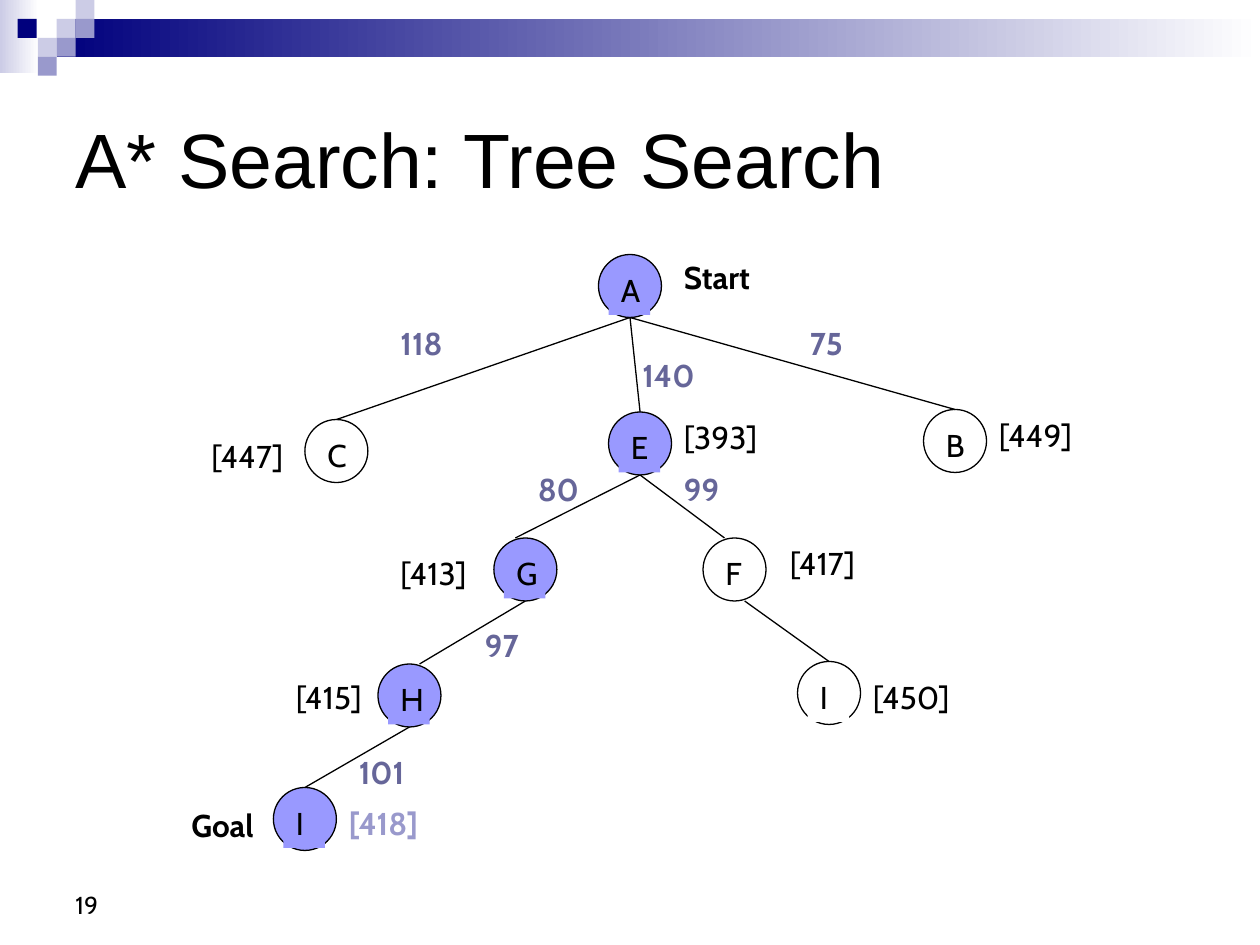
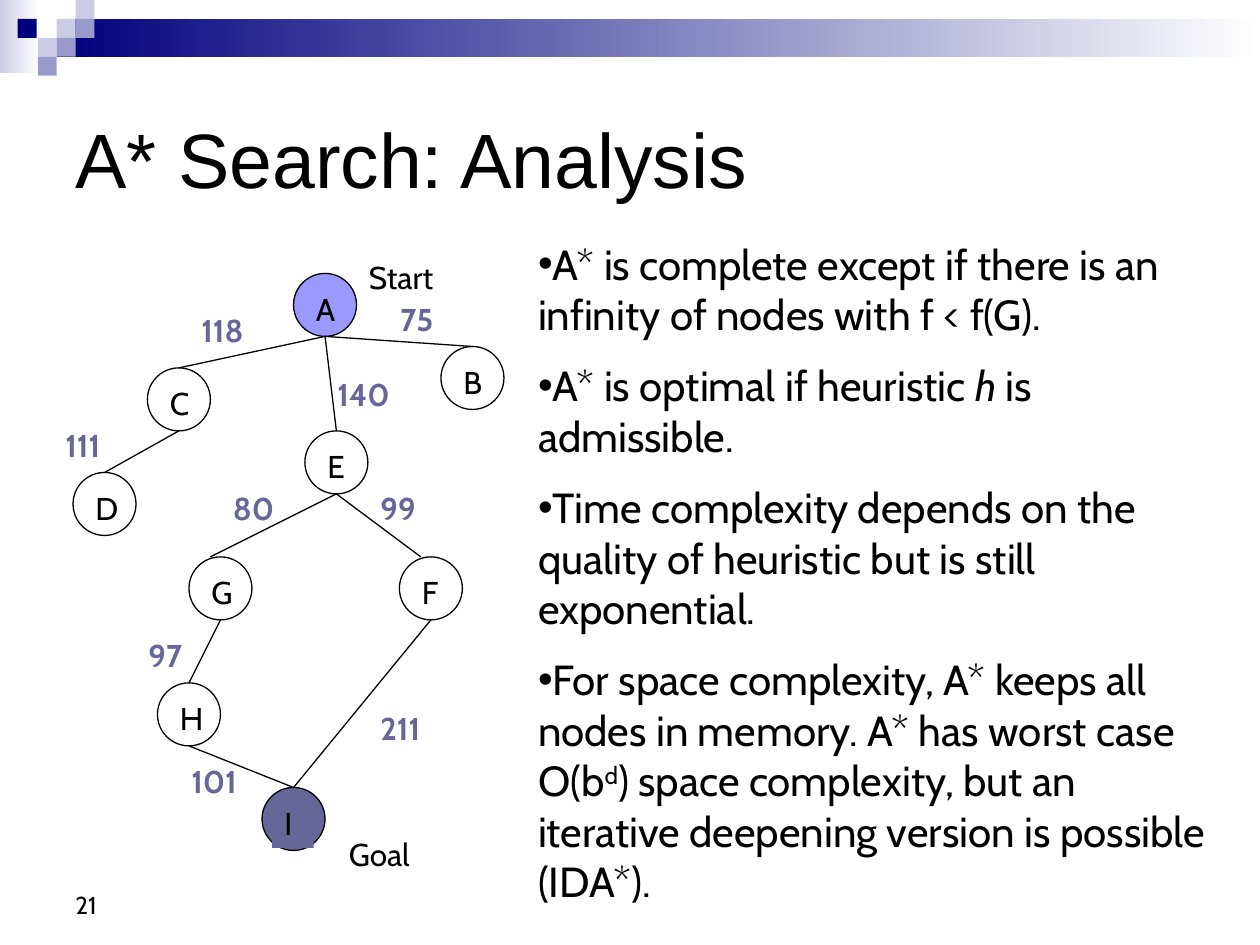
from lxml import etree
from pptx import Presentation
from pptx.dml.color import RGBColor
from pptx.enum.shapes import MSO_CONNECTOR, MSO_SHAPE
from pptx.enum.text import MSO_ANCHOR, MSO_AUTO_SIZE, PP_ALIGN
from pptx.oxml.ns import qn
from pptx.util import Inches, Pt

OVAL, RECT = MSO_SHAPE.OVAL, MSO_SHAPE.RECTANGLE
LINE = MSO_CONNECTOR.STRAIGHT
MIDDLE, BOTTOM, TOP = MSO_ANCHOR.MIDDLE, MSO_ANCHOR.BOTTOM, MSO_ANCHOR.TOP
GROW, FIXED = MSO_AUTO_SIZE.SHAPE_TO_FIT_TEXT, MSO_AUTO_SIZE.NONE
LEFT = PP_ALIGN.LEFT

HEX = {
    "ink": "000000", "white": "FFFFFF", "navy": "00007D", "pale": "CCCCE6",
    "mid": "9999CC", "lilac": "9999FF", "slate": "666699",
}

BAND = [
    (0, 0, 0.31, 0.58, "pale", "white"),
    (0.45, 0.15, 9.55, 0.3, "navy", "white"),
]
TILE = 0.15
TILES = [
    (0.45, 0.15, "pale"), (0.6, 0, "pale"), (0.6, 0.15, "mid"), (0.3, 0.3, "pale"),
    (0.14, 0.15, "navy"), (0.45, 0.3, "mid"), (0.3, 0.45, "mid"),
]

NODE = 0.5
TAG = (0.08, 0.08, 0.33, 0.4)

SEARCH = {
    "title": "A* Search: Tree Search",
    "page": "19",
    "nodes": {
        "A": (4.75, 2.02, "lilac", True),
        "B": (7.33, 3.25, None, False),
        "C": (2.42, 3.33, None, False),
        "E": (4.83, 3.27, "lilac", True),
        "F": (5.58, 4.27, None, False),
        "G": (3.92, 4.27, "lilac", True),
        "H": (3, 5.27, "lilac", True),
        "I": (2.17, 6.25, "lilac", True),
        "I2": (6.33, 5.25, "white", True),
    },
    "edges": [
        ("A", "B", 0, 0), ("A", "E", 0, 0), ("A", "C", 0, 0),
        ("E", "F", 0, -0.08), ("E", "G", 0, -0.08), ("G", "H", 0, 0.08),
        ("H", "I", 0, 0), ("F", "I2", 0.08, 0),
    ],
    "costs": [
        ("118", 3.08, 2.52), ("140", 5, 2.78), ("75", 6.33, 2.52), ("80", 4.17, 3.68),
        ("99", 5.33, 3.68), ("97", 3.75, 4.92), ("101", 2.75, 5.93),
    ],
    "notes": [
        ("Start", 5.33, 2, "ink", True), ("Goal", 1.42, 6.35, "ink", True),
        ("[393]", 5.33, 3.27, "ink", False), ("[449]", 7.83, 3.25, "ink", False),
        ("[447]", 1.58, 3.42, "ink", False), ("[417]", 6.17, 4.27, "ink", False),
        ("[413]", 3.08, 4.35, "ink", False), ("[415]", 2.25, 5.33, "ink", False),
        ("[450]", 6.83, 5.33, "ink", False), ("[418]", 2.67, 6.33, "mid", True),
    ],
    "points": [],
}

REVIEW = {
    "title": "A* Search: Analysis",
    "page": "21",
    "nodes": {
        "A": (2.33, 2.17, "lilac", False),
        "B": (3.5, 2.75, None, False),
        "C": (1.17, 2.92, None, False),
        "D": (0.58, 3.75, None, False),
        "E": (2.42, 3.42, None, False),
        "F": (3.17, 4.42, None, False),
        "G": (1.5, 4.42, None, False),
        "H": (1.25, 5.42, None, False),
        "I": (2.08, 6.25, "slate", True),
    },
    "edges": [
        ("A", "B", 0, 0), ("A", "E", 0, 0), ("A", "C", 0, 0), ("C", "D", 0, 0),
        ("E", "F", 0, -0.08), ("E", "G", 0, -0.08), ("G", "H", 0, 0),
        ("H", "I", 0, 0), ("F", "I", 0, 0),
    ],
    "costs": [
        ("118", 1.5, 2.42), ("75", 3.08, 2.33), ("140", 2.58, 2.93), ("111", 0.42, 3.33),
        ("80", 1.75, 3.83), ("99", 2.92, 3.83), ("97", 1.08, 5), ("101", 1.42, 6),
        ("211", 2.92, 5.58),
    ],
    "notes": [("Start", 2.83, 2, "ink", False), ("Goal", 2.67, 6.58, "ink", False)],
    "points": [
        [("A* is complete except if there is an infinity of nodes with f < f(G).", "")],
        [("A* is optimal if heuristic ", ""), ("h", "italic"), (" is admissible.", "")],
        [("Time complexity depends on the quality of heuristic but is still exponential.", "")],
        [
            ("For space complexity, A* keeps all nodes in memory. A* has worst case O(b", ""),
            ("d", "super"),
            (") space complexity, but an iterative deepening version is possible (IDA*).", ""),
        ],
    ],
}


def tint(name):
    return RGBColor.from_string(HEX[name])


def place(shape, *box):
    shape.left, shape.top, shape.width, shape.height = map(Inches, box)


def write(shape, paras, size=18, color="ink", font="Cabin", bold=False,
          anchor=TOP, fit=GROW, gap=0, bullet=False):
    frame = shape.text_frame
    frame.word_wrap = True
    frame.auto_size = fit
    frame.vertical_anchor = anchor
    if isinstance(paras, str):
        paras = [[(paras, "")]]
    for i, runs in enumerate(paras):
        para = frame.add_paragraph() if i else frame.paragraphs[0]
        para.alignment = LEFT
        para.space_before = Pt(gap if i else 0)
        if bullet:
            mark(para)
        for words, style in runs:
            run = para.add_run()
            run.text = words
            run.font.size = Pt(size)
            run.font.name = font
            run.font.bold = bold
            run.font.italic = style == "italic"
            run.font.color.rgb = tint(color)
            if style == "super":
                run._r.get_or_add_rPr().set("baseline", "30000")


def mark(para):
    props = para._p.get_or_add_pPr()
    props.set("marL", "0")
    props.set("indent", str(-Inches(0.17)))
    hue = etree.SubElement(props, qn("a:buClr"))
    etree.SubElement(hue, qn("a:srgbClr"), val=HEX["ink"])
    etree.SubElement(props, qn("a:buFont"), typeface="Arial")
    etree.SubElement(props, qn("a:buChar"), char="•")


def label(slide, words, *box, fill=None, **fmt):
    text = slide.shapes.add_textbox(*map(Inches, box))
    if fill:
        text.fill.solid()
        text.fill.fore_color.rgb = tint(fill)
    write(text, words, **fmt)


def draw(slide, kind, *box, fill=None, fade=None, line=None):
    shape = slide.shapes.add_shape(kind, *map(Inches, box))
    shape.shadow.inherit = False
    if fade:
        shape.fill.gradient()
        shape.fill.gradient_angle = 0
        for stop, name in zip(shape.fill.gradient_stops, (fill, fade)):
            stop.color.rgb = tint(name)
    elif fill:
        shape.fill.solid()
        shape.fill.fore_color.rgb = tint(fill)
    else:
        shape.fill.background()
    if line:
        shape.line.color.rgb = tint(line)
        shape.line.width = Pt(0.75)
    else:
        shape.line.fill.background()
    return shape


def link(slide, nodes, ovals, start, end, shift, bend):
    x1, y1 = nodes[start][:2]
    x2, y2 = nodes[end][:2]
    half = NODE / 2
    ends = (x1 + half + shift, y1 + NODE, x2 + half + bend, y2)
    edge = slide.shapes.add_connector(LINE, *map(Inches, ends))
    edge.line.color.rgb = tint("ink")
    edge.line.width = Pt(0.75)
    etree.SubElement(edge._element.spPr, qn("a:effectLst"))
    if not bend:
        edge.end_connect(ovals[end], 0)


def tree(slide, data):
    nodes, ovals = data["nodes"], {}
    dx, dy, wide, high = TAG
    for key, (x, y, fill, patch) in nodes.items():
        ovals[key] = draw(slide, OVAL, x, y, NODE, NODE, fill=fill, line="ink")
        label(slide, key[0], x + dx, y + dy, wide, high, fill=fill if patch else None)
    for edge in data["edges"]:
        link(slide, nodes, ovals, *edge)
    for words, x, y in data["costs"]:
        label(slide, words, x, y, 0.83, 0.4, color="slate", bold=True)
    for words, x, y, color, bold in data["notes"]:
        label(slide, words, x, y, 1, 0.4, color=color, bold=bold)


def build(deck, data):
    layout = deck.slide_layouts[1 if data["points"] else 5]
    slide = deck.slides.add_slide(layout)
    for *box, fill, fade in BAND:
        draw(slide, RECT, *box, fill=fill, fade=fade)
    for x, y, fill in TILES:
        draw(slide, RECT, x, y, TILE, TILE, fill=fill)
    title = slide.shapes.title
    place(title, 0.5, 0.5, 9, 1.5)
    write(title, data["title"], size=44, font="Arial", anchor=MIDDLE, fit=FIXED)
    label(slide, data["page"], 0.5, 6.83, 2.33, 0.52, size=14, anchor=BOTTOM, fit=FIXED)
    tree(slide, data)
    if data["points"]:
        body = slide.placeholders[1]
        place(body, 4.17, 1.84, 5.58, 5.49)
        write(body, data["points"], size=24, gap=12, bullet=True)


def main():
    deck = Presentation()
    deck.slide_width, deck.slide_height = Inches(10), Inches(7.5)
    for data in (SEARCH, REVIEW):
        build(deck, data)
    deck.save("out.pptx")


if __name__ == "__main__":
    main()
